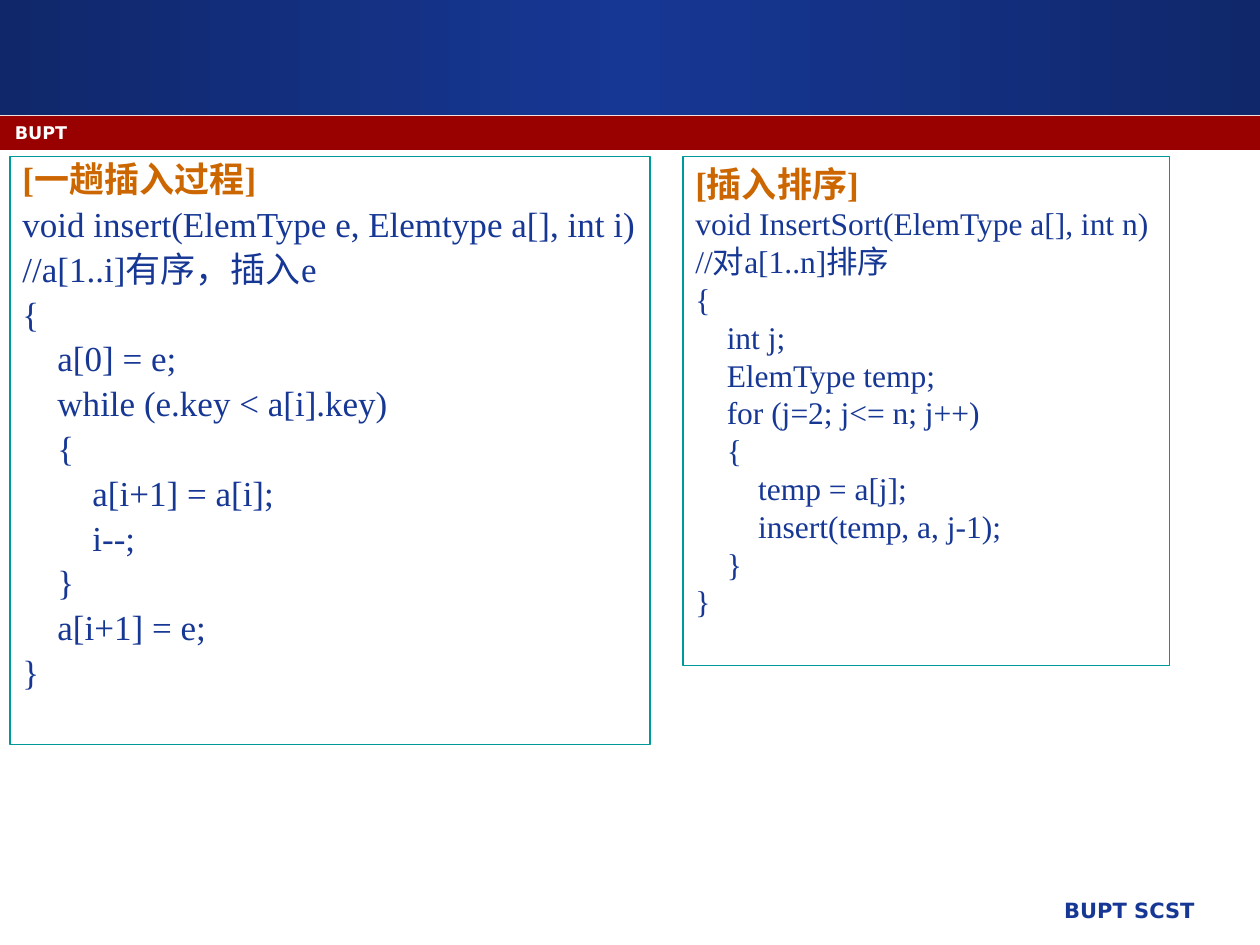
"""Build a slide with two insertion sort code listings under a banner."""
from dataclasses import dataclass

from pptx import Presentation
from pptx.dml.color import RGBColor
from pptx.enum.shapes import MSO_SHAPE
from pptx.enum.text import PP_ALIGN
from pptx.util import Inches, Pt

NAVY, DARK_NAVY, RED, ORANGE = "163794", "10276A", "990000", "CC6600"
TEAL, WHITE = "009999", "FFFFFF"
SANS, SERIF = "DejaVu Sans", "Times New Roman"

INSERT = """void insert(ElemType e, Elemtype a[], int i)
//a[1..i]有序，插入e
{
    a[0] = e;
    while (e.key < a[i].key)
    {
        a[i+1] = a[i];
        i--;
    }
    a[i+1] = e;
}"""

INSERT_SORT = """void InsertSort(ElemType a[], int n)
//对a[1..n]排序
{
    int j;
    ElemType temp;
    for (j=2; j<= n; j++)
    {
        temp = a[j];
        insert(temp, a, j-1);
    }
}"""


@dataclass
class Box:
    left: float
    top: float
    width: float
    height: float

    def lengths(self):
        return [Inches(v) for v in (self.left, self.top, self.width, self.height)]


@dataclass
class Label:
    box: Box
    text: str
    size: float
    color: str
    align: PP_ALIGN


@dataclass
class Listing:
    box: Box
    title: str
    code: str
    size: float
    line_spacing: float
    space_before: float


def rgb(color: str) -> RGBColor:
    return RGBColor.from_string(color)


def set_font(font, name: str, size: float, color: str, bold: bool) -> None:
    font.name, font.size, font.bold = name, Pt(size), bold
    font.color.rgb = rgb(color)


def add_band(slide, box: Box):
    sp = slide.shapes.add_shape(MSO_SHAPE.RECTANGLE, *box.lengths())
    sp.shadow.inherit = False
    sp.line.fill.background()
    return sp


def add_banner(slide) -> None:
    fill = add_band(slide, Box(0, 0, 10, 0.91)).fill
    fill.gradient()
    fill.gradient_angle = 0
    first, last = fill.gradient_stops
    middle = type(first._gs)
    stops = first._gs.getparent()
    first.color.rgb, first.position = rgb(DARK_NAVY), 0
    last.color.rgb, last.position = rgb(DARK_NAVY), 1
    stops.insert(1, deepcopy(first._gs))
    center = fill.gradient_stops[1]
    center.color.rgb, center.position = rgb(NAVY), 0.5

    fill = add_band(slide, Box(0, 0.92, 10, 0.27)).fill
    fill.solid()
    fill.fore_color.rgb = rgb(RED)


def add_label(slide, label: Label) -> None:
    tf = slide.shapes.add_textbox(*label.box.lengths()).text_frame
    tf.word_wrap = True
    p = tf.paragraphs[0]
    p.text, p.alignment = label.text, label.align
    set_font(p.font, SANS, label.size, label.color, True)


def add_listing(slide, listing: Listing) -> None:
    sp = slide.shapes.add_textbox(*listing.box.lengths())
    sp.line.color.rgb = rgb(TEAL)
    sp.line.width = Pt(0.75)
    tf = sp.text_frame
    tf.word_wrap = True
    tf.margin_right = Inches(0.05)
    p = tf.paragraphs[0]
    p.text, p.line_spacing = listing.title, listing.line_spacing
    set_font(p.font, SERIF, 20, ORANGE, True)
    for line in listing.code.splitlines():
        p = tf.add_paragraph()
        p.text, p.line_spacing = line, listing.line_spacing
        p.space_before = Pt(listing.space_before)
        set_font(p.font, SERIF, listing.size, NAVY, False)


def main() -> None:
    prs = Presentation()
    prs.slide_width, prs.slide_height = Inches(10), Inches(7.5)
    s = prs.slides.add_slide(prs.slide_layouts[6])
    add_banner(s)
    for label in (
        Label(Box(4.21, 7.07, 5.37, 0.35), "BUPT SCST", 12, NAVY, PP_ALIGN.RIGHT),
        Label(Box(0.02, 0.92, 9.25, 0.25), "BUPT", 10, WHITE, PP_ALIGN.LEFT),
    ):
        add_label(s, label)
    for listing in (
        Listing(Box(0.08, 1.24, 5.08, 4.67), "[一趟插入过程]", INSERT, 20, 0.9, 4),
        Listing(Box(5.42, 1.24, 3.86, 4.04), "[插入排序]", INSERT_SORT, 18, 1, 0),
    ):
        add_listing(s, listing)
    prs.save("out.pptx")


from copy import deepcopy

if __name__ == "__main__":
    main()
